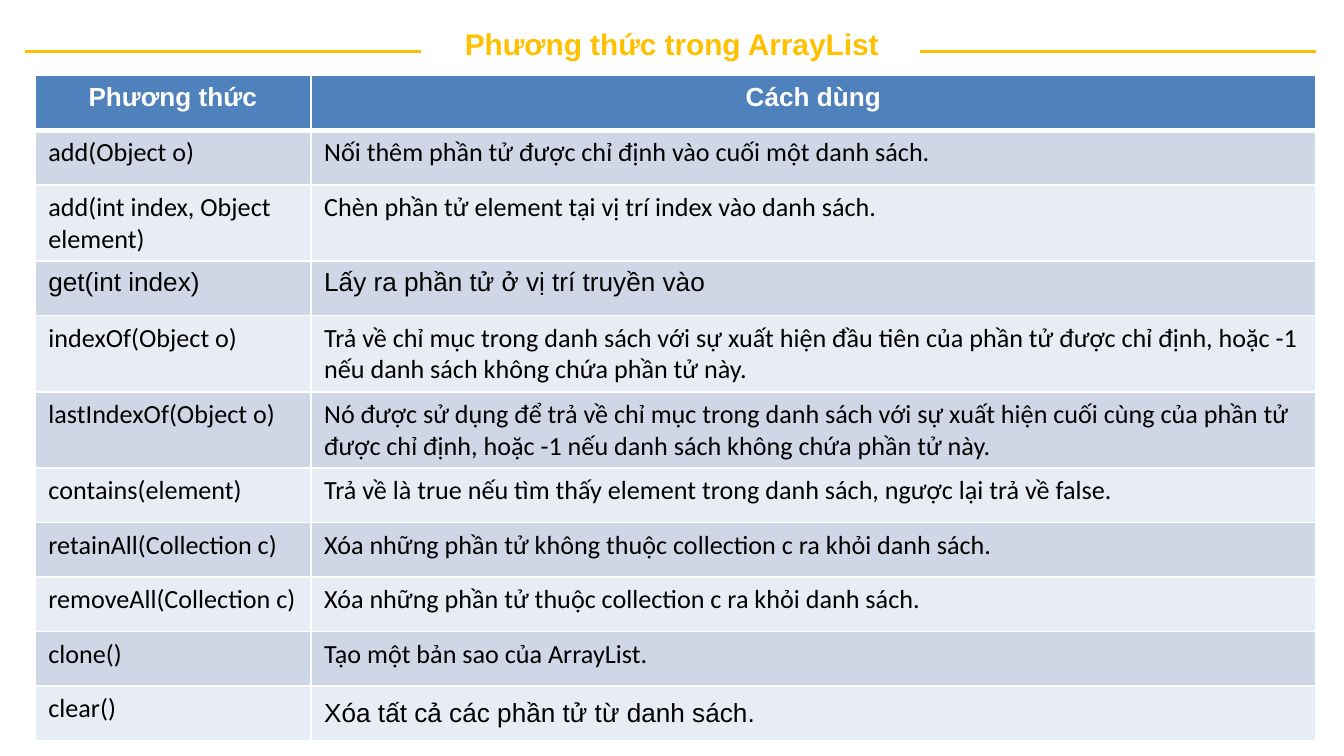
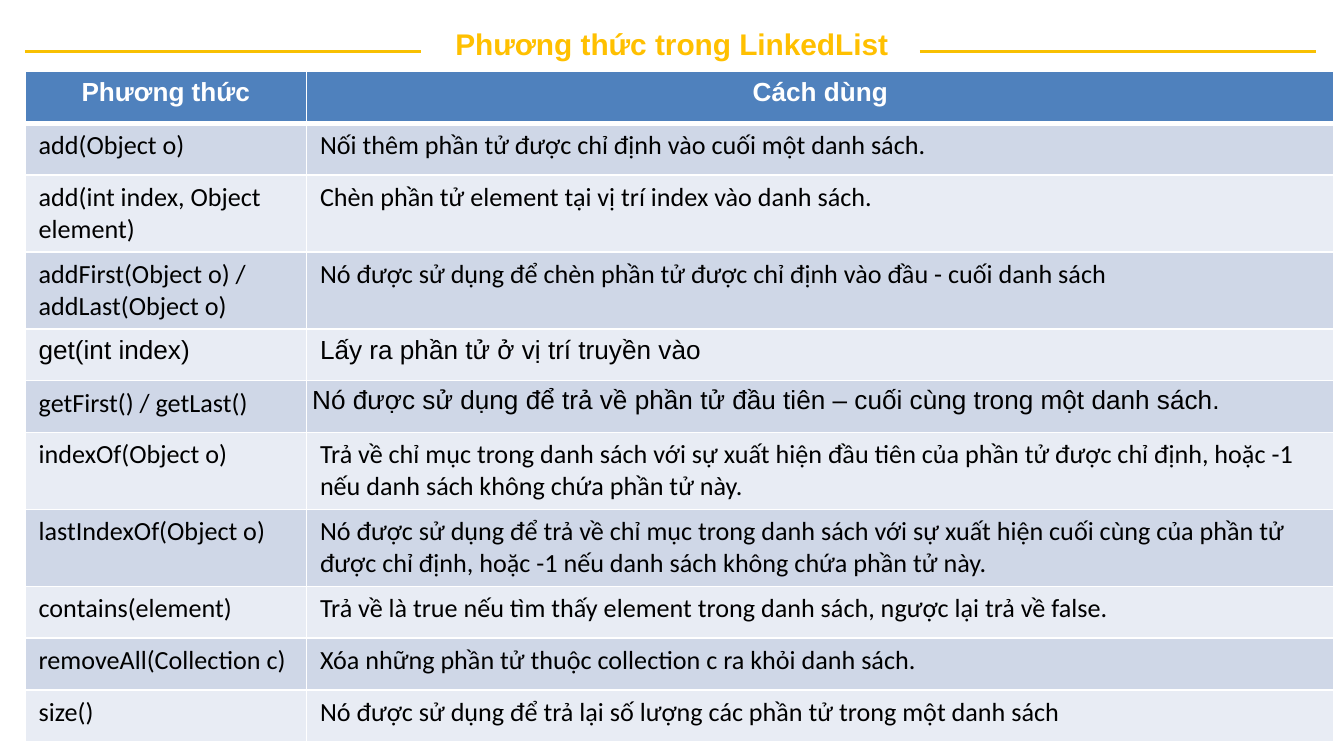
from dataclasses import dataclass

from lxml.etree import SubElement
from pptx import Presentation
from pptx.dml.color import RGBColor
from pptx.enum.shapes import MSO_CONNECTOR
from pptx.enum.text import MSO_ANCHOR, PP_ALIGN
from pptx.oxml.ns import qn
from pptx.slide import Slide
from pptx.table import _Cell
from pptx.text.text import TextFrame
from pptx.util import Emu, Pt

EMU_PER_PX = 9525
SLIDE_WIDTH, SLIDE_HEIGHT = 960, 540

# Colours and text formats
GOLD_LINE, GOLD_TEXT = "F8C002", "FFC000"
WHITE, BLACK = "FFFFFF", "000000"
HEADER_BLUE = "4F81BD"
BANDS = ("CFD7E7", "E8ECF4")
TITLE_FORMAT = {"name": "Arial", "size": Pt(16), "bold": True}
HEADER_FORMAT = {"name": "Arial", "size": Pt(14), "bold": True}
CALIBRI_FORMAT = {"name": "Calibri", "size": Pt(14), "bold": False}
ARIAL_FORMAT = CALIBRI_FORMAT | {"name": "Arial"}

# Title band
RULE_Y = 37
RULE_SPANS = ((18, 301), (657, 940))
TITLE_BOX = (295, 15, 370, 32)
TITLE_INSETS = {"margin_left": 7, "margin_top": 4, "margin_right": 7, "margin_bottom": 4}
TIGHT_INSETS = dict.fromkeys(TITLE_INSETS, 4)

HEADINGS = ("Phương thức", "Cách dùng")
HEADER_BORDERS = {"a:lnL": 1, "a:lnR": 1, "a:lnT": 1, "a:lnB": 3}


@dataclass(frozen=True)
class Method:
    call: str
    usage: str
    call_arial: bool = False
    usage_arial: bool = False
    usage_middle: bool = False
    usage_tight: bool = False


@dataclass(frozen=True)
class MethodSlide:
    title: str
    left: int
    top: int
    columns: tuple[int, int]
    row_height: int
    tall_height: int
    tall_rows: tuple[int, ...]
    methods: tuple[Method, ...]


# Methods found in both lists
ADD = Method("add(Object o)", "Nối thêm phần tử được chỉ định vào cuối một danh sách.")
INSERT = Method("add(int index, Object element)",
                "Chèn phần tử element tại vị trí index vào danh sách.")
GET = Method("get(int index)", "Lấy ra phần tử ở vị trí truyền vào",
             call_arial=True, usage_arial=True)
INDEX_OF = Method("indexOf(Object o)",
                  "Trả về chỉ mục trong danh sách với sự xuất hiện đầu tiên của phần tử "
                  "được chỉ định, hoặc -1 nếu danh sách không chứa phần tử này.")
LAST_INDEX_OF = Method("lastIndexOf(Object o)",
                       "Nó được sử dụng để trả về chỉ mục trong danh sách với sự xuất hiện "
                       "cuối cùng của phần tử được chỉ định, hoặc -1 nếu danh sách không "
                       "chứa phần tử này.")
CONTAINS = Method("contains(element)",
                  "Trả về là true nếu tìm thấy element trong danh sách, "
                  "ngược lại trả về false.")
REMOVE_ALL = Method("removeAll(Collection c)",
                    "Xóa những phần tử thuộc collection c ra khỏi danh sách.")

ARRAY_LIST = MethodSlide(
    "Phương thức trong ArrayList", 25, 54, (197, 718), 39, 39, (),
    (ADD, INSERT, GET, INDEX_OF, LAST_INDEX_OF, CONTAINS,
     Method("retainAll(Collection c)",
            "Xóa những phần tử không thuộc collection c ra khỏi danh sách."),
     REMOVE_ALL,
     Method("clone()", "Tạo một bản sao của ArrayList."),
     Method("clear()", "Xóa tất cả các phần tử từ danh sách.",
            usage_arial=True, usage_middle=True)))

LINKED_LIST = MethodSlide(
    "Phương thức trong LinkedList", 18, 51, (201, 734), 37, 55, (2, 3, 6, 7),
    (ADD, INSERT,
     Method("addFirst(Object o) /\naddLast(Object o)",
            "Nó được sử dụng để chèn phần tử được chỉ định vào đầu - cuối danh sách"),
     GET,
     Method("getFirst() / getLast()",
            "Nó được sử dụng để trả về phần tử đầu tiên – cuối cùng trong một danh sách.",
            usage_arial=True, usage_tight=True),
     INDEX_OF, LAST_INDEX_OF, CONTAINS, REMOVE_ALL,
     Method("size()",
            "Nó được sử dụng để trả lại số lượng các phần tử trong một danh sách")))


def px(length: int) -> Emu:
    return Emu(length * EMU_PER_PX)


def colour(value: str) -> RGBColor:
    return RGBColor.from_string(value)


def set_insets(target: TextFrame | _Cell, insets: dict[str, int]) -> None:
    for side, inset in insets.items():
        setattr(target, side, px(inset))


def write(frame: TextFrame, text: str, font_format: dict, text_colour: str,
          align: PP_ALIGN | None = None) -> None:
    frame.text = text
    for paragraph in frame.paragraphs:
        paragraph.alignment = align
        for run in paragraph.runs:
            for attribute, value in font_format.items():
                setattr(run.font, attribute, value)
            run.font.color.rgb = colour(text_colour)


def fill_cell(cell: _Cell, fill: str) -> None:
    cell.fill.solid()
    cell.fill.fore_color.rgb = colour(fill)


def add_header_borders(cell: _Cell) -> None:
    properties = cell._tc.get_or_add_tcPr()
    for tag, width in HEADER_BORDERS.items():
        border = SubElement(properties, qn(tag), w=str(Pt(width)))
        solid = SubElement(border, qn("a:solidFill"))
        SubElement(solid, qn("a:srgbClr"), val=WHITE)


def add_title(slide: Slide, title: str) -> None:
    for start, end in RULE_SPANS:
        rule = slide.shapes.add_connector(
            MSO_CONNECTOR.STRAIGHT, px(start), px(RULE_Y), px(end), px(RULE_Y))
        rule.line.color.rgb = colour(GOLD_LINE)
        rule.line.width = Pt(1.5)
        SubElement(rule._element.spPr, qn("a:effectLst"))
    frame = slide.shapes.add_textbox(*map(px, TITLE_BOX)).text_frame
    frame.word_wrap = True
    frame.vertical_anchor = MSO_ANCHOR.MIDDLE
    set_insets(frame, TITLE_INSETS)
    write(frame, title, TITLE_FORMAT, GOLD_TEXT, PP_ALIGN.CENTER)


def add_methods(slide: Slide, content: MethodSlide) -> None:
    heights = [content.tall_height if row in content.tall_rows else content.row_height
               for row in range(len(content.methods) + 1)]
    table = slide.shapes.add_table(
        len(heights), len(HEADINGS), px(content.left), px(content.top),
        px(sum(content.columns)), px(sum(heights))).table
    for column, width in zip(table.columns, content.columns):
        column.width = px(width)
    for row, height in zip(table.rows, heights):
        row.height = px(height)

    # Header row
    for column, heading in enumerate(HEADINGS):
        cell = table.cell(0, column)
        add_header_borders(cell)
        fill_cell(cell, HEADER_BLUE)
        write(cell.text_frame, heading, HEADER_FORMAT, WHITE, PP_ALIGN.CENTER)

    # One banded row per method
    for row, method in enumerate(content.methods, start=1):
        texts = ((method.call, method.call_arial), (method.usage, method.usage_arial))
        for column, (text, arial) in enumerate(texts):
            cell = table.cell(row, column)
            fill_cell(cell, BANDS[(row - 1) % 2])
            write(cell.text_frame, text, ARIAL_FORMAT if arial else CALIBRI_FORMAT, BLACK)
        usage = table.cell(row, 1)
        if method.usage_middle:
            usage.vertical_anchor = MSO_ANCHOR.MIDDLE
        if method.usage_tight:
            set_insets(usage, TIGHT_INSETS)


def main() -> None:
    deck = Presentation()
    deck.slide_width, deck.slide_height = px(SLIDE_WIDTH), px(SLIDE_HEIGHT)
    for content in (ARRAY_LIST, LINKED_LIST):
        slide = deck.slides.add_slide(deck.slide_layouts[6])
        add_title(slide, content.title)
        add_methods(slide, content)
    deck.save("out.pptx")


if __name__ == "__main__":
    main()
